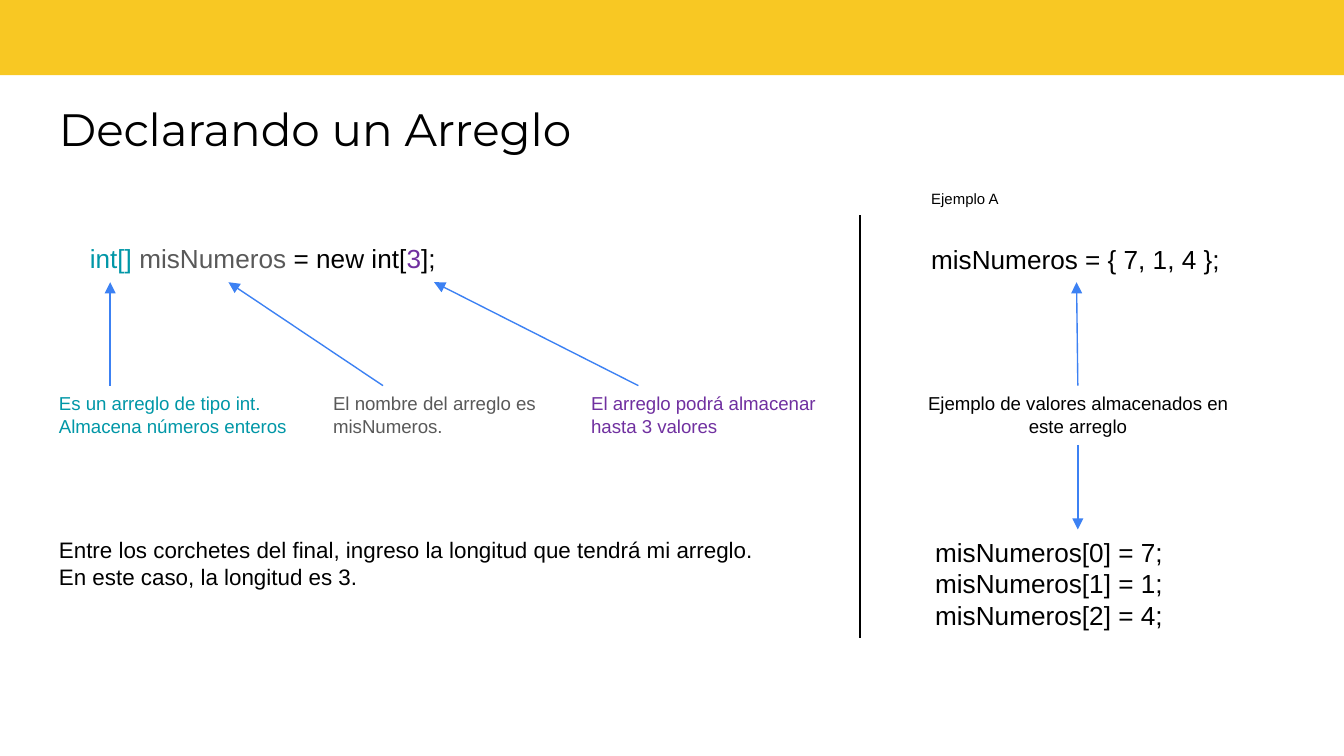
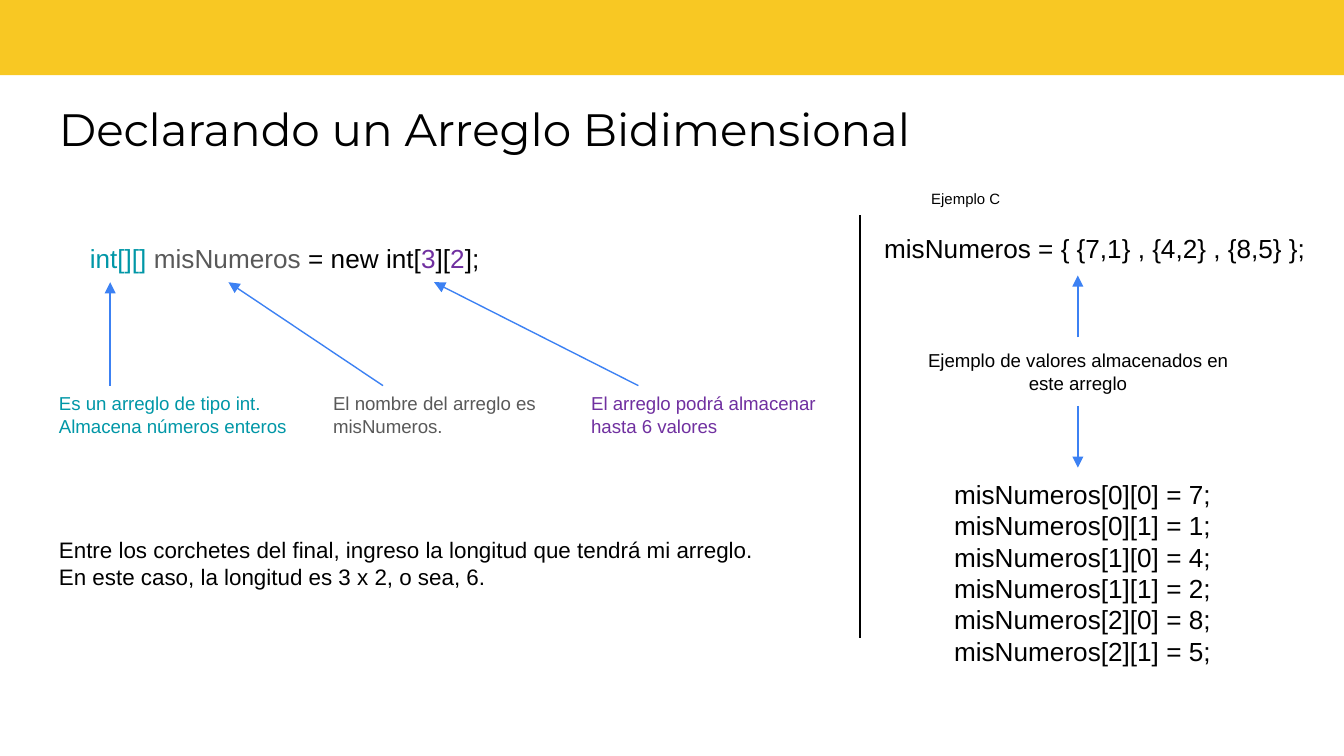
"""Two slides that explain how one- and two-dimensional arrays are declared."""
from dataclasses import dataclass

from lxml import etree
from pptx import Presentation
from pptx.dml.color import RGBColor
from pptx.enum.shapes import MSO_CONNECTOR, MSO_SHAPE
from pptx.enum.text import MSO_ANCHOR, PP_ALIGN
from pptx.oxml.ns import qn
from pptx.util import Inches, Pt

STRAIGHT = MSO_CONNECTOR.STRAIGHT
RECTANGLE = MSO_SHAPE.RECTANGLE
LEFT, CENTER = PP_ALIGN.LEFT, PP_ALIGN.CENTER
TOP, MIDDLE = MSO_ANCHOR.TOP, MSO_ANCHOR.MIDDLE
TOP_SITE, BOTTOM_SITE = 0, 2


@dataclass(frozen=True)
class Theme:
    band: str = "F8C823"
    ink: str = "000000"
    type_color: str = "0097A7"
    name_color: str = "595959"
    length_color: str = "7030A0"
    arrow: str = "3C81F3"
    title_font: str = "Montserrat"
    body_font: str = "Arial"
    title_size: float = 24.3
    code_size: float = 14
    summary_size: float = 12
    note_size: float = 10
    label_size: float = 8
    line_width: float = 0.75


THEME = Theme()

NOTE = "Ejemplo de valores almacenados en este arreglo"
SUMMARY = "Entre los corchetes del final, ingreso la longitud que tendrá mi arreglo. En este caso, la longitud es "

LESSONS = [
    {
        "title": "Declarando un Arreglo",
        "brackets": "[]",
        "lengths": ["3"],
        "capacity": 3,
        "summary": "3.",
        "label": "Ejemplo A",
        "literal": "misNumeros = { 7, 1, 4 };",
        "literal_box": (6.83, 1.76, 2.36, 0.34),
        "note_top": 2.87,
        "up": (2.87, 2.1),
        "down": (3.31, 3.94),
        "glued": True,
        "cells": {"[0]": 7, "[1]": 1, "[2]": 4},
        "cells_box": (6.86, 3.94, 1.9, 0.81),
    },
    {
        "title": "Declarando un Arreglo Bidimensional",
        "brackets": "[][]",
        "lengths": ["3", "2"],
        "capacity": 6,
        "summary": "3 x 2, o sea, 6.",
        "label": "Ejemplo C",
        "literal": "misNumeros = { {7,1} , {4,2} , {8,5} };",
        "literal_box": (6.48, 1.68, 3.35, 0.34),
        "note_top": 2.55,
        "up": (2.51, 2.05),
        "down": (3.02, 3.48),
        "glued": False,
        "cells": {"[0][0]": 7, "[0][1]": 1, "[1][0]": 4,
                  "[1][1]": 2, "[2][0]": 8, "[2][1]": 5},
        "cells_box": (7, 3.51, 2.12, 1.51),
    },
]

CALLOUT_TOP, CALLOUT_HEIGHT, CODE_BOTTOM = 2.87, 0.44, 2.1
EXAMPLE_CENTER, NOTE_WIDTH = 8.02, 2.58


def add_text(slide, box, paragraphs, *, size, font=THEME.body_font, color=THEME.ink,
             align=LEFT, anchor=TOP, wrap=True, inset_top=0.05):
    """Add a text box; each paragraph is a string or a list of (text, colour) pairs."""
    text_box = slide.shapes.add_textbox(*map(Inches, box))
    frame = text_box.text_frame
    frame.word_wrap = wrap
    frame.vertical_anchor = anchor
    frame.margin_top = Inches(inset_top)
    for index, content in enumerate(paragraphs):
        paragraph = frame.paragraphs[0] if index == 0 else frame.add_paragraph()
        paragraph.alignment = align
        pieces = [(content, color)] if isinstance(content, str) else content
        for piece, piece_color in pieces:
            for row, line in enumerate(piece.split("\n")):
                if row:
                    paragraph.add_line_break()
                run = paragraph.add_run()
                run.text = line
                run.font.name = font
                run.font.size = Pt(size)
                run.font.color.rgb = RGBColor.from_string(piece_color)
    return text_box


def add_line(slide, start, end, color=THEME.ink, arrow=False):
    """Add a straight line, with an arrowhead at its end if asked."""
    line = slide.shapes.add_connector(STRAIGHT, *map(Inches, start + end))
    line.line.color.rgb = RGBColor.from_string(color)
    line.line.width = Pt(THEME.line_width)
    properties = line._element.spPr
    if arrow:
        outline = properties.find(qn("a:ln"))
        etree.SubElement(outline, qn("a:tailEnd"), type="triangle")
    etree.SubElement(properties, qn("a:effectLst"))
    return line


def add_arrow(slide, start, end):
    """Add an arrow in the theme colour."""
    return add_line(slide, start, end, THEME.arrow, arrow=True)


def add_frame(slide, title):
    """Add the band, the title and the divider that all slides share."""
    band = slide.shapes.add_shape(RECTANGLE, *map(Inches, (-0.01, -0.05, 10.03, 0.61)))
    band.shadow.inherit = False
    band.fill.solid()
    band.fill.fore_color.rgb = RGBColor.from_string(THEME.band)
    band.line.fill.background()
    add_text(slide, (0.34, 0.65, 9.3, 0.63), [title], size=THEME.title_size,
             font=THEME.title_font, anchor=MIDDLE, inset_top=0.03)
    add_line(slide, (6.4, 1.6), (6.4, 4.75))


def add_declaration(slide, lesson):
    """Add the declaration, its three callouts and the summary."""
    code = [(f"int{lesson['brackets']} ", THEME.type_color),
            ("misNumeros", THEME.name_color), (" = new int[", THEME.ink)]
    for index, length in enumerate(lesson["lengths"]):
        if index:
            code.append(("][", THEME.ink))
        code.append((length, THEME.length_color))
    code.append(("];", THEME.ink))
    add_text(slide, (0.57, 1.28, 3.96, 1.28), [code], size=THEME.code_size, inset_top=0.52)

    callouts = [
        (0.34, 2.08, 0.82, 0.82, THEME.type_color,
         ["Es un arreglo de tipo int.\nAlmacena números enteros"]),
        (2.38, 1.72, 2.85, 1.7, THEME.name_color,
         ["El nombre del arreglo es", "misNumeros."]),
        (4.3, 1.98, 4.75, 3.23, THEME.length_color,
         [f"El arreglo podrá almacenar hasta {lesson['capacity']} valores"]),
    ]
    for left, width, tail_x, tip_x, color, lines in callouts:
        add_arrow(slide, (tail_x, CALLOUT_TOP), (tip_x, CODE_BOTTOM))
        add_text(slide, (left, CALLOUT_TOP, width, CALLOUT_HEIGHT), lines,
                 size=THEME.note_size, color=color, wrap=len(lines) == 1)
    add_text(slide, (0.34, 3.94, 5.55, 0.5), [SUMMARY + lesson["summary"]],
             size=THEME.summary_size)


def add_example(slide, lesson):
    """Add the example: array literal, note, cell values and joining arrows."""
    add_text(slide, (6.83, 1.36, 0.72, 0.24), [lesson["label"]],
             size=THEME.label_size, wrap=False)
    literal = add_text(slide, lesson["literal_box"], [lesson["literal"]],
                       size=THEME.code_size, wrap=False)
    note_left = EXAMPLE_CENTER - NOTE_WIDTH / 2
    note = add_text(slide, (note_left, lesson["note_top"], NOTE_WIDTH, CALLOUT_HEIGHT),
                    [NOTE], size=THEME.note_size, align=CENTER)
    cells = [f"misNumeros{index} = {value};" for index, value in lesson["cells"].items()]
    add_text(slide, lesson["cells_box"], cells, size=THEME.code_size, wrap=False)
    up, down = (add_arrow(slide, *((EXAMPLE_CENTER, y) for y in lesson[way]))
                for way in ("up", "down"))
    if lesson["glued"]:
        up.begin_connect(note, TOP_SITE)
        up.end_connect(literal, BOTTOM_SITE)
        down.begin_connect(note, BOTTOM_SITE)


def main():
    """Build and save the slides."""
    deck = Presentation()
    deck.slide_width, deck.slide_height = Inches(10), Inches(10 * 9 / 16)
    blank = deck.slide_layouts[6]
    for lesson in LESSONS:
        slide = deck.slides.add_slide(blank)
        add_frame(slide, lesson["title"])
        add_declaration(slide, lesson)
        add_example(slide, lesson)
    deck.save("out.pptx")


if __name__ == "__main__":
    main()
